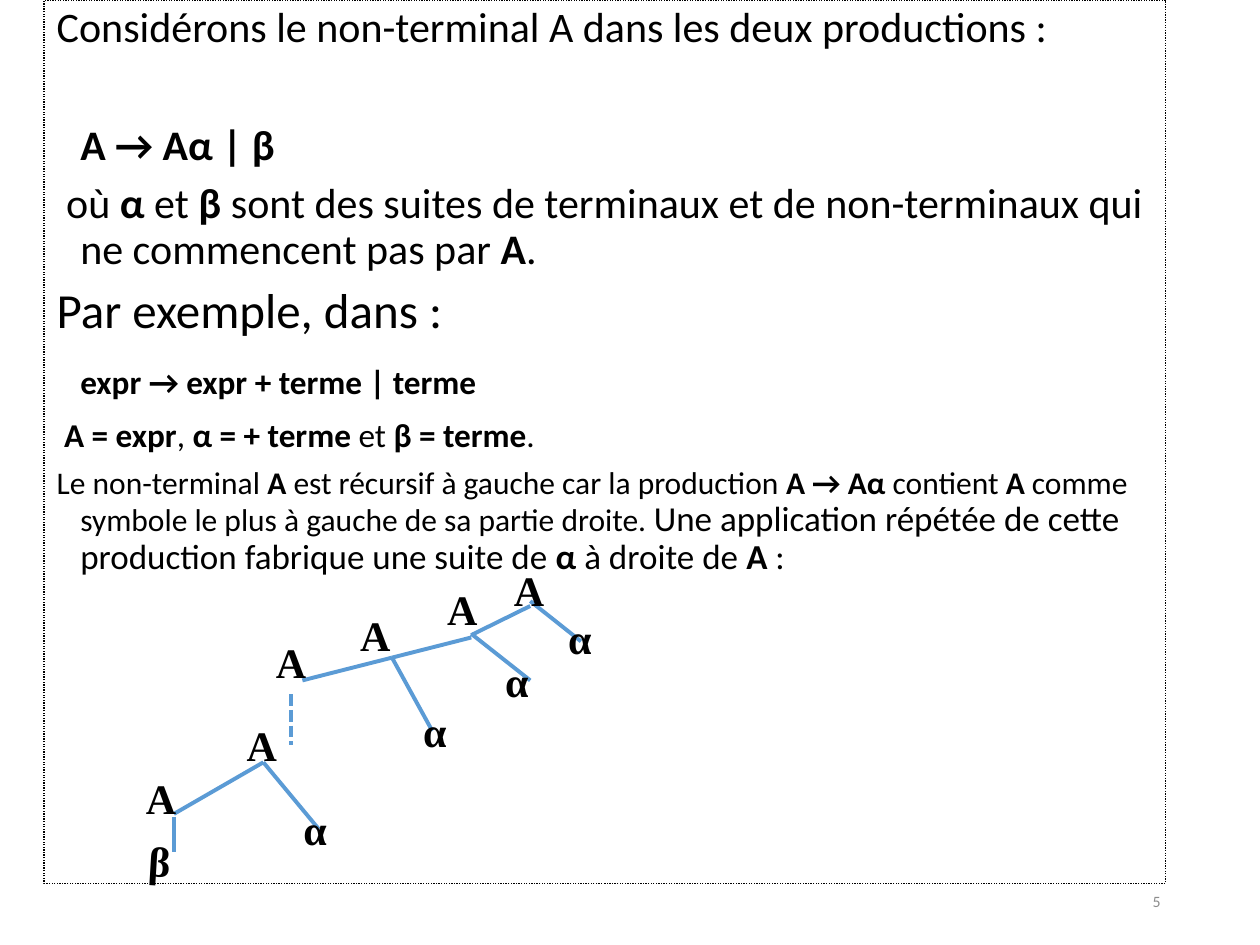
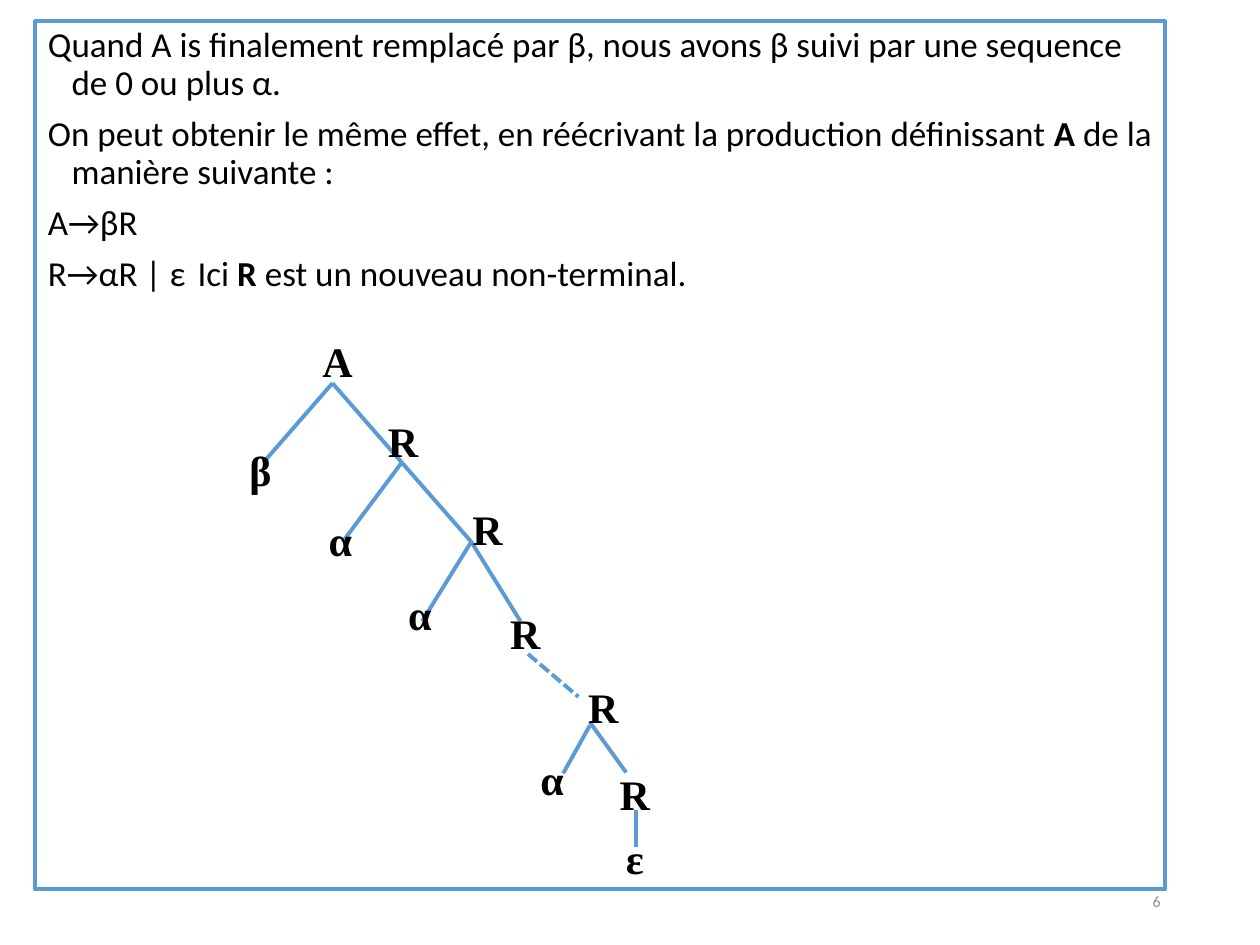
from typing import NamedTuple

from lxml import etree
from pptx import Presentation
from pptx.dml.color import RGBColor
from pptx.enum.dml import MSO_LINE
from pptx.enum.shapes import MSO_CONNECTOR
from pptx.enum.text import MSO_ANCHOR, MSO_AUTO_SIZE, PP_ALIGN
from pptx.oxml.ns import qn
from pptx.util import Pt

BLACK = RGBColor(0x00, 0x00, 0x00)
GREY = RGBColor(0x8C, 0x8C, 0x8C)
BLUE = RGBColor(0x5B, 0x9B, 0xD5)
BODY_FONT, NODE_FONT = "Calibri", "Times New Roman"
STRAIGHT = MSO_CONNECTOR.STRAIGHT
DOTTED, DASHED = MSO_LINE.ROUND_DOT, MSO_LINE.SQUARE_DOT
TOP, MIDDLE = MSO_ANCHOR.TOP, MSO_ANCHOR.MIDDLE
LEFT, RIGHT = PP_ALIGN.LEFT, PP_ALIGN.RIGHT
FIXED, GROW = MSO_AUTO_SIZE.NONE, MSO_AUTO_SIZE.SHAPE_TO_FIT_TEXT

HANGING = 13.5
SPACE_BEFORE = 7.5
TAB_STOP = 216
NODE_HEIGHT = 36
NODE_WIDTHS = {"A": 32.4, "R": 32.4, "α": 29.5, "β": 28, "ε": 25.2}


class Span(NamedTuple):
    text: str  # parts between asterisks are bold
    size: float


class Line(NamedTuple):
    spans: list[Span]
    before: float = SPACE_BEFORE


class Node(NamedTuple):
    symbol: str
    left: float
    top: float
    rotation: float = 0


class Edge(NamedTuple):
    x1: float
    y1: float
    x2: float
    y2: float
    dash: MSO_LINE | None = None


class Frame(NamedTuple):
    left: float
    top: float
    width: float
    height: float
    color: RGBColor
    weight: float
    dash: MSO_LINE | None = None


class Page(NamedTuple):
    number: str
    frame: Frame
    lines: list[Line]
    edges: list[Edge]
    nodes: list[Node]


# Left recursion: the tree grows down to the left
LEFT_RECURSION = Page(
    "5",
    Frame(25.2, 0, 640.8, 504.7, BLACK, 0.75, DOTTED),
    [
        Line([Span("Considérons le non-terminal A dans les deux productions :", 24)]),
        Line([Span("\t*A → Aα | β*", 24)], before=41.4),
        Line([Span(" où *α* et *β* sont des suites de terminaux et de "
                   "non-terminaux qui ne commencent pas par *A*.", 24)]),
        Line([Span("Par exemple, dans :", 28)]),
        Line([Span("\t", 28), Span("*expr → expr + terme | terme*", 19)]),
        Line([Span(" *A = expr*, *α = + terme* et *β = terme*.", 19)]),
        Line([
            Span("Le non-terminal *A* est récursif à gauche car la production "
                 "*A → Aα* contient *A* comme symbole le plus à gauche de sa "
                 "partie droite. ", 18),
            Span("Une application répétée de cette production fabrique une "
                 "suite de *α* à droite de *A* :", 20),
        ]),
    ],
    [
        Edge(303, 346.3, 269.3, 362.9), Edge(303, 343.5, 332, 366.5),
        Edge(269.3, 364.3, 224, 375.8), Edge(269.3, 362.2, 303, 388.8),
        Edge(224, 375.8, 172.8, 388.8), Edge(224, 375.8, 247, 417.6),
        Edge(166.3, 396.7, 166.3, 425.5, DASHED),
        Edge(150.5, 435.6, 99.4, 465.1), Edge(150.5, 435.6, 182.2, 473.8),
        Edge(99.4, 466.6, 99.4, 486.7),
    ],
    [
        Node("A", 286.6, 319), Node("α", 317.5, 346.3),
        Node("A", 248.4, 329.8), Node("α", 281.5, 370.8),
        Node("A", 198.7, 344.9), Node("α", 234.7, 399.6),
        Node("A", 150.5, 360),
        Node("A", 133.9, 407.5), Node("α", 166.3, 455.8),
        Node("A", 76.3, 437.8), Node("β", 77.8, 473.8, rotation=3.5),
    ],
)

# Right recursion: the tree grows down to the right
RIGHT_RECURSION = Page(
    "6",
    Frame(20.2, 12.2, 645.8, 496.1, BLUE, 2.25),
    [
        Line([Span("Quand A is finalement remplacé par β, nous avons β suivi "
                   "par une sequence de 0 ou plus α.", 20)]),
        Line([Span("On peut obtenir le même effet, en réécrivant la production "
                   "définissant *A* de la manière suivante :", 20)]),
        Line([Span("A→βR", 20)]),
        Line([Span("R→αR | ε\tIci *R* est un nouveau non-terminal.", 20)]),
    ],
    [
        Edge(190, 219, 150.5, 264.3), Edge(190, 219, 229.6, 264.3),
        Edge(229.6, 264.3, 195.8, 309.6), Edge(229.6, 264.3, 269.3, 309.6),
        Edge(269.3, 309.6, 241.2, 355), Edge(269.3, 309.6, 297.4, 355),
        Edge(301.7, 373.7, 330.5, 398.2, DASHED),
        Edge(337, 414.7, 321.8, 442), Edge(337, 412.6, 357.8, 441.4),
        Edge(363.6, 463, 363.6, 483.8),
    ],
    [
        Node("A", 177.1, 187.9), Node("β", 135.4, 250.6),
        Node("R", 214.6, 234), Node("α", 180.7, 290.2),
        Node("R", 262.8, 284.4), Node("α", 226.1, 332.6),
        Node("R", 284.4, 343.4),
        Node("R", 329, 385.9), Node("α", 301.7, 427),
        Node("R", 347, 435.6), Node("ε", 350.6, 472.3),
    ],
)


def add_span(para, text: str, *, size: float, font: str = BODY_FONT,
             color: RGBColor = BLACK, bold: bool = False) -> None:
    run = para.add_run()
    run.text = text
    run.font.size = Pt(size)
    run.font.name = font
    run.font.color.rgb = color
    run.font.bold = bold


def add_label(slide, text: str, left: float, top: float, width: float,
              height: float, *, align=LEFT, anchor=TOP, wrap: bool = True,
              auto_size=FIXED, rotation: float = 0, **font) -> None:
    box = slide.shapes.add_textbox(Pt(left), Pt(top), Pt(width), Pt(height))
    box.rotation = rotation
    frame = box.text_frame
    frame.word_wrap = wrap
    frame.auto_size = auto_size
    frame.vertical_anchor = anchor
    para = frame.paragraphs[0]
    para.alignment = align
    add_span(para, text, **font)


def format_line(para, before: float) -> None:
    """Set spacing, hanging indent, no bullet and the tab stop."""
    para.line_spacing = 0.9
    para.space_before = Pt(before)
    para.space_after = Pt(0)
    properties = para._p.get_or_add_pPr()
    properties.set("marL", str(Pt(HANGING)))
    properties.set("indent", str(-Pt(HANGING)))
    etree.SubElement(properties, qn("a:buNone"))
    if "\t" in para.text[1:]:
        tabs = etree.SubElement(properties, qn("a:tabLst"))
        etree.SubElement(tabs, qn("a:tab"), pos=str(Pt(TAB_STOP)), algn="l")


def fill_body(body, frame: Frame, lines: list[Line]) -> None:
    body.left, body.top = Pt(frame.left), Pt(frame.top)
    body.width, body.height = Pt(frame.width), Pt(frame.height)
    body.line.color.rgb = frame.color
    body.line.width = Pt(frame.weight)
    body.line.dash_style = frame.dash
    text_frame = body.text_frame
    text_frame.auto_size = FIXED
    text_frame.vertical_anchor = TOP
    for index, line in enumerate(lines):
        para = text_frame.add_paragraph() if index else text_frame.paragraphs[0]
        for span in line.spans:
            for part, text in enumerate(span.text.split("*")):
                if text:
                    add_span(para, text, size=span.size, bold=part % 2 == 1)
        format_line(para, line.before)


def add_edge(slide, edge: Edge) -> None:
    connector = slide.shapes.add_connector(
        STRAIGHT, Pt(edge.x1), Pt(edge.y1), Pt(edge.x2), Pt(edge.y2))
    connector.line.color.rgb = BLUE
    connector.line.width = Pt(2.25)
    connector.line.dash_style = edge.dash
    etree.SubElement(connector._element.spPr, qn("a:effectLst"))


def add_node(slide, node: Node) -> None:
    add_label(slide, node.symbol, node.left, node.top,
              NODE_WIDTHS[node.symbol], NODE_HEIGHT, wrap=False,
              auto_size=GROW, rotation=node.rotation,
              size=24, font=NODE_FONT, bold=True)


def add_page(deck, page: Page) -> None:
    slide = deck.slides.add_slide(deck.slide_layouts[1])
    title = slide.shapes.title._element
    title.getparent().remove(title)
    fill_body(slide.placeholders[1], page.frame, page.lines)
    add_label(slide, page.number, 508.3, 500.4, 162, 28.8,
              align=RIGHT, anchor=MIDDLE, size=9, color=GREY)
    for edge in page.edges:
        add_edge(slide, edge)
    for node in page.nodes:
        add_node(slide, node)


def main() -> None:
    deck = Presentation()
    deck.slide_width, deck.slide_height = Pt(720), Pt(540)
    for page in (LEFT_RECURSION, RIGHT_RECURSION):
        add_page(deck, page)
    deck.save("out.pptx")


if __name__ == "__main__":
    main()
